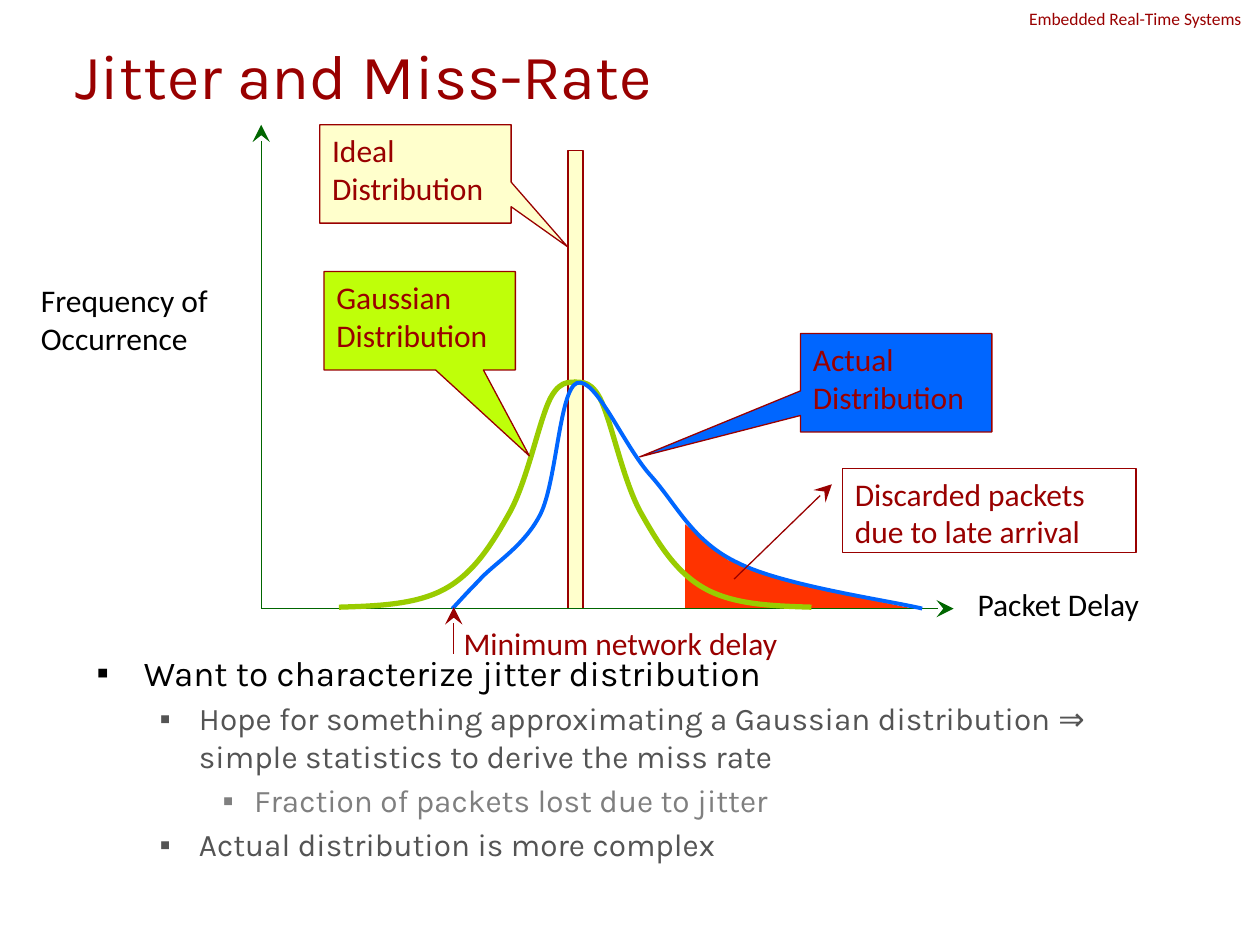
from lxml import etree
from pptx import Presentation
from pptx.dml.color import RGBColor
from pptx.enum.shapes import MSO_CONNECTOR, MSO_SHAPE
from pptx.enum.text import MSO_ANCHOR, MSO_AUTO_SIZE, PP_ALIGN
from pptx.oxml.ns import qn
from pptx.util import Pt

STRAIGHT = MSO_CONNECTOR.STRAIGHT
RECTANGLE = MSO_SHAPE.RECTANGLE
TRIANGLE = MSO_SHAPE.RIGHT_TRIANGLE
WEDGE = MSO_SHAPE.RECTANGULAR_CALLOUT
LINE_CALLOUT = MSO_SHAPE.LINE_CALLOUT_1
TOP, MIDDLE = MSO_ANCHOR.TOP, MSO_ANCHOR.MIDDLE
LEFT = PP_ALIGN.LEFT
FIXED, GROW = MSO_AUTO_SIZE.NONE, MSO_AUTO_SIZE.SHAPE_TO_FIT_TEXT

COLORS = {
    "maroon": "990000", "black": "000000", "dark_gray": "545454",
    "gray": "7F7F7F", "late": "FF3300", "cream": "FFFFCC",
    "axis": "006600", "gaussian": "99CC00", "lime": "BFFF09",
    "actual": "0066FF", "white": "FFFFFF",
}

BASELINE = 347.8
AXIS_LEFT = 149.3
MIRROR_SUM = 657.4

GAUSSIAN_LEFT = [
    (193.7, 347), (216, 346.3), (238.3, 345.6), (254.9, 336.2),
    (271.4, 326.9), (281.5, 310.3), (291.6, 292.3),
    (301.7, 273.6), (308.2, 239.8), (314.6, 227.5),
    (321.1, 215.3), (327.6, 219.6), (329.8, 218.2),
]
ACTUAL = [
    (258.5, BASELINE), (262.1, 344.2), (265, 340.6), (273.6, 331.9),
    (281.5, 322.6), (299.5, 312.5), (308.9, 293.8),
    (318.2, 275), (319.7, 222.5), (329.8, 218.9),
    (340.6, 215.3), (356.4, 254.9), (372.2, 272.2),
    (387.4, 289.4), (396, 309.6), (421.9, 321.8),
    (447.8, 334.8), (509, 343.4), (527, BASELINE),
]
LATE_TRIANGLES = [(391.5, 57.6, 48.2), (416.2, 67.7, 28.6),
                  (442.8, 59.8, 18), (462.2, 59.8, 12.2)]
BULLETS = [
    (0, "Want to characterize jitter distribution"),
    (1, "Hope for something approximating a Gaussian distribution ⇒ "
        "simple statistics to derive the miss rate"),
    (2, "Fraction of packets lost due to jitter"),
    (1, "Actual distribution is more complex"),
]
BULLET_LEVELS = [(27, 27, 20, "black"), (58.5, 22.5, 18, "dark_gray"),
                 (90, 18, 18, "gray")]
CALLOUTS = [
    (WEDGE, (182.7, 71.3, 109.4, 56.2), (0.795, 0.741), "cream",
     "Ideal\nDistribution"),
    (WEDGE, (185.1, 155.2, 109.4, 56.2), (0.573, 1.373), "lime",
     "Gaussian Distribution"),
    (WEDGE, (457.4, 190.6, 109.4, 56.2), (-1.34, 0.754), "actual",
     "Actual Distribution"),
]


def rgb(name):
    """Return the named colour."""
    return RGBColor.from_string(COLORS[name])


def write(box, text, size, color, font="Calibri", **frame_format):
    """Fill a shape with left-aligned text in one format."""
    frame = box.text_frame
    frame.text = text
    settings = {"word_wrap": True, "vertical_anchor": TOP,
                "auto_size": FIXED, **frame_format}
    for name, value in settings.items():
        setattr(frame, name, value)
    for para in frame.paragraphs:
        para.alignment = LEFT
        for span in para.runs:
            format_span(span, size, color, font)


def format_span(span, size, color, font):
    """Apply font, size and colour to a run."""
    for name, value in {"name": font, "size": Pt(size), "bold": False}.items():
        setattr(span.font, name, value)
    span.font.color.rgb = rgb(color)


def place(box, bounds):
    """Move and size a shape."""
    for name, value in zip(("left", "top", "width", "height"), bounds):
        setattr(box, name, Pt(value))


def add_label(page, bounds, text, size, color, wrap=True):
    """Add a text box that grows with its text."""
    box = page.shapes.add_textbox(*map(Pt, bounds))
    write(box, text, size, color, word_wrap=wrap, auto_size=GROW)


def add_block(page, kind, bounds, fill, line=None):
    """Add a flat filled preset shape."""
    block = page.shapes.add_shape(kind, *map(Pt, bounds))
    block.shadow.inherit = False
    block.fill.solid()
    block.fill.fore_color.rgb = rgb(fill)
    if line:
        set_line(block, line, 0.75)
    else:
        block.line.fill.background()
    return block


def set_line(shape, color, width):
    """Set line colour and width."""
    shape.line.color.rgb = rgb(color)
    shape.line.width = Pt(width)


def add_arrowhead(shape, end):
    """Put a large stealth arrowhead on one end of a line."""
    line = shape.line._get_or_add_ln()
    etree.SubElement(line, qn(f"a:{end}"), type="stealth", w="lg", len="lg")


def add_arrow(page, start, finish, color):
    """Add a straight arrow."""
    arrow = page.shapes.add_connector(STRAIGHT, *map(Pt, start + finish))
    set_line(arrow, color, 0.75)
    add_arrowhead(arrow, "tailEnd")
    etree.SubElement(arrow._element.spPr, qn("a:effectLst"))


def add_curve(page, points, color, width):
    """Draw an open chain of cubic curves."""
    corners = [tuple(map(Pt, point)) for point in points]
    builder = page.shapes.build_freeform(*corners[0])
    builder.add_line_segments(corners[1:], close=False)
    curve = builder.convert_to_shape()
    segments = list(curve._element.iter(qn("a:lnTo")))
    outline = segments[0].getparent()
    for first in range(0, len(segments), 3):
        cubic = etree.SubElement(outline, qn("a:cubicBezTo"))
        for segment in segments[first:first + 3]:
            cubic.append(segment[0])
            outline.remove(segment)
    curve.shadow.inherit = False
    curve.fill.background()
    set_line(curve, color, width)


def add_callout(page, kind, bounds, pointer, fill, text):
    """Add a callout whose pointer follows the given adjustments."""
    callout = add_block(page, kind, bounds, fill, "maroon")
    for index, value in enumerate(pointer):
        callout.adjustments[index] = value
    write(callout, text, 18, "maroon")
    return callout


def fill_bullets(body):
    """Write the bulleted list."""
    write(body, "\n".join(text for _, text in BULLETS), 18, "black", "Karla")
    for para, (level, _) in zip(body.text_frame.paragraphs, BULLETS):
        margin, hanging, size, color = BULLET_LEVELS[level]
        para.level = level
        properties = para._p.get_or_add_pPr()
        properties.set("marL", str(Pt(margin)))
        properties.set("indent", str(-Pt(hanging)))
        etree.SubElement(properties, qn("a:buChar"), char="▪")
        format_span(para.runs[0], size, color, "Karla")


def main():
    """Build the slide and save it."""
    deck = Presentation()
    deck.slide_width, deck.slide_height = Pt(720), Pt(540)
    page = deck.slides.add_slide(deck.slide_layouts[1])
    title, body = page.placeholders
    place(title, (36, 21.6, 648, 41.8))
    write(title, "Jitter and Miss-Rate", 36, "maroon", "Karla",
          vertical_anchor=MIDDLE)
    place(body, (48, 368.5, 630, 133.2))
    fill_bullets(body)
    add_label(page, (581, 1, 163.4, 19.4), "Embedded Real-Time Systems",
              10, "maroon")

    for left, width, height in LATE_TRIANGLES:
        add_block(page, TRIANGLE, (left, BASELINE - height, width, height), "late")
    add_block(page, RECTANGLE, (324.6, 86.1, 8.6, 261.7), "cream", "maroon")
    for finish in ((545, BASELINE), (AXIS_LEFT, 71.3)):
        add_arrow(page, (AXIS_LEFT, BASELINE), finish, "axis")
    add_curve(page, GAUSSIAN_LEFT, "gaussian", 3)
    add_curve(page, [(MIRROR_SUM - x, y) for x, y in GAUSSIAN_LEFT], "gaussian", 3)
    add_curve(page, ACTUAL, "actual", 2.25)

    add_label(page, (551.5, 330.5, 188.6, 28.8), "Packet Delay", 18, "black")
    add_label(page, (16.3, 157, 116.6, 51.1), "Frequency of Occurrence", 18, "black")
    for callout in CALLOUTS:
        add_callout(page, *callout)
    add_label(page, (257.8, 353.2, 196.6, 28.8), "Minimum network delay",
              18, "maroon", wrap=False)
    add_arrow(page, (259.3, 373.7), (259.3, 347), "maroon")
    discarded = add_callout(page, LINE_CALLOUT, (481.4, 267.7, 167.8, 48.2),
                            (0.188, -0.036, 1.312, -0.369), "white",
                            "Discarded packets due to late arrival")
    add_arrowhead(discarded, "headEnd")
    deck.save("out.pptx")


if __name__ == "__main__":
    main()
